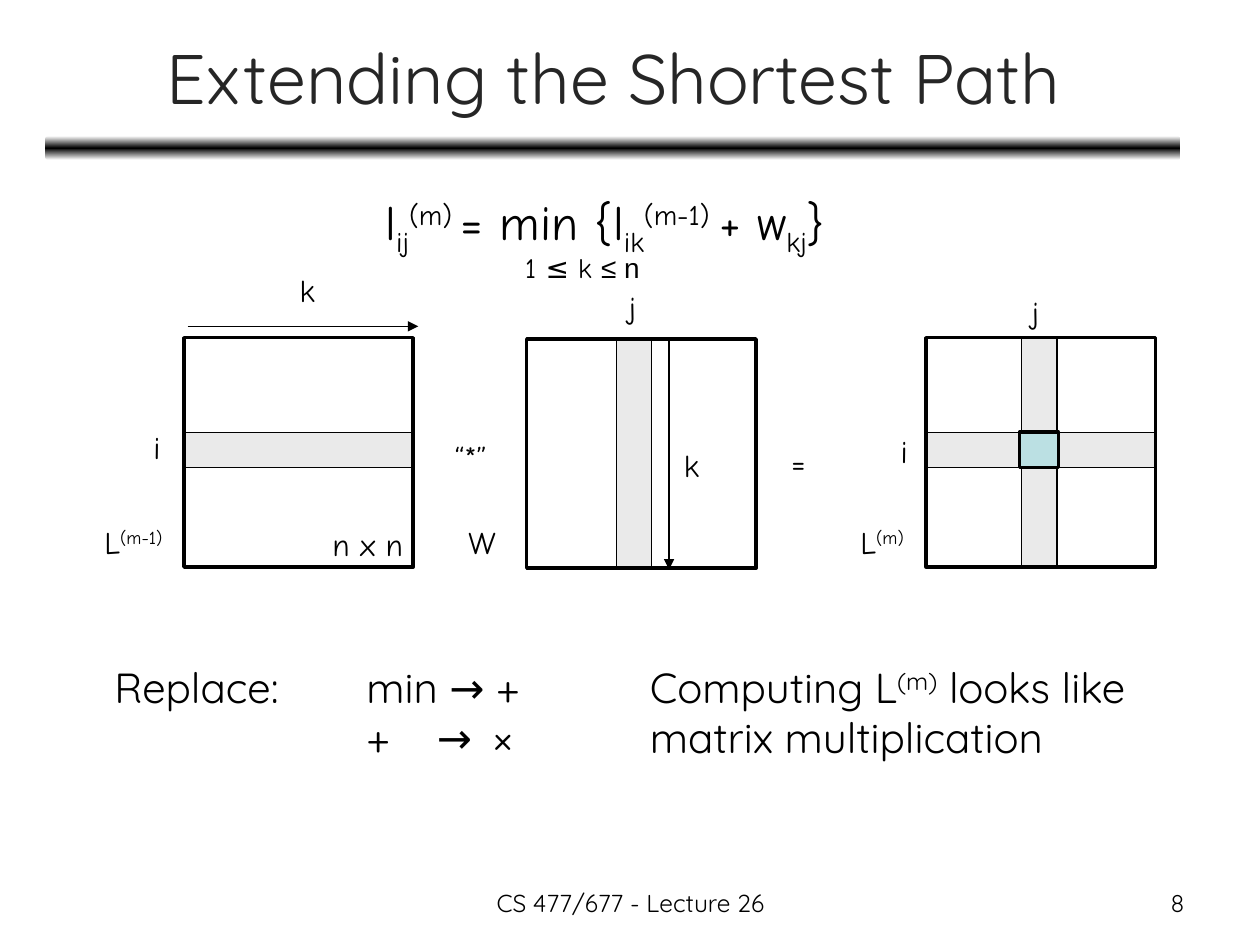
from copy import deepcopy
from dataclasses import dataclass
from lxml.etree import SubElement
from pptx import Presentation
from pptx.dml.color import RGBColor
from pptx.enum.shapes import MSO_CONNECTOR, MSO_SHAPE
from pptx.enum.text import MSO_ANCHOR, PP_ALIGN
from pptx.oxml.ns import qn
from pptx.util import Inches, Pt


@dataclass(frozen=True)
class Theme:
    sans: str = "Quicksand"
    hand: str = "Comic Neue"
    plain: str = "Arial"
    black: str = "000000"
    white: str = "FFFFFF"
    title: str = "262626"
    band: str = "EAEAEA"
    cell: str = "BBE0E3"
    head: int = 40
    math: int = 28
    body: int = 24
    label: int = 18
    range: int = 16
    foot: int = 14
    thick: float = 2
    thin: float = 0.75


THEME = Theme()
SUB, SUP = -25, 30
SIDE, BAR, MID = 1.82, 0.28, 3.43


def set_all(target, values):
    for name, value in values.items():
        setattr(target, name, value)


def add_run(para, text, font, size, color=THEME.black, base=0):
    run = para.add_run()
    run.text = text
    set_all(run.font, {"name": font, "size": Pt(size)})
    run.font.color.rgb = RGBColor.from_string(color)
    if base:
        run.font._element.set("baseline", str(base * 1000))


def add_text(slide, box, lines, font, size, color=THEME.black, wrap=True,
             align=PP_ALIGN.LEFT, anchor=MSO_ANCHOR.TOP):
    """Each line is a list of (text, format overrides) pairs."""
    frame = slide.shapes.add_textbox(*map(Inches, box)).text_frame
    set_all(frame, {"word_wrap": wrap, "vertical_anchor": anchor})
    for index, line in enumerate(lines):
        para = frame.paragraphs[0] if index == 0 else frame.add_paragraph()
        para.alignment = align
        for text, extra in line:
            add_run(para, text, **{"font": font, "size": size, "color": color, **extra})
    return frame


def add_label(slide, left, top, width, text, power=None):
    line = [(text, {})]
    if power:
        line.append((power, {"base": SUP}))
    add_text(slide, (left, top, width, 0.4), [line], THEME.hand, THEME.label, wrap=False)


def add_box(slide, box, fill=None, width=THEME.thin, kind=MSO_SHAPE.RECTANGLE):
    shape = slide.shapes.add_shape(kind, *map(Inches, box))
    shape.shadow.inherit = False
    if fill:
        shape.fill.solid()
        shape.fill.fore_color.rgb = RGBColor.from_string(fill)
    else:
        shape.fill.background()
    if width:
        shape.line.color.rgb = RGBColor.from_string(THEME.black)
        shape.line.width = Pt(width)
    else:
        shape.line.fill.background()
    return shape


def add_arrow(slide, start, end):
    arrow = slide.shapes.add_connector(MSO_CONNECTOR.STRAIGHT, *map(Inches, start + end))
    arrow.line.color.rgb = RGBColor.from_string(THEME.black)
    arrow.line.width = Pt(THEME.thin)
    SubElement(arrow.line._get_or_add_ln(), qn("a:tailEnd"), type="triangle")
    SubElement(arrow._element.spPr, qn("a:effectLst"))


def add_rule(slide):
    rule = add_box(slide, (0.36, 1.08, 9.01, 0.19), width=0, kind=MSO_SHAPE.ROUNDED_RECTANGLE)
    rule.fill.gradient()
    rule.fill.gradient_angle = 90
    stops = rule._element.spPr.find(qn("a:gradFill")).find(qn("a:gsLst"))
    stops.append(deepcopy(stops[0]))
    colors = (THEME.white, THEME.black, THEME.white)
    for stop, place, color in zip(rule.fill.gradient_stops, (0, 0.5, 1), colors):
        stop.position = place
        stop.color.rgb = RGBColor.from_string(color)


def add_grid(slide, left, top, column=None, row=False):
    """Square matrix with an optional shaded row and column."""
    if row:
        add_box(slide, (left, MID, SIDE, BAR), THEME.band)
    if column:
        add_box(slide, (column, top, BAR, SIDE), THEME.band)
    add_box(slide, (left, top, SIDE, SIDE), width=THEME.thick)


def add_tabs(para, stops):
    tabs = SubElement(para._p.get_or_add_pPr(), qn("a:tabLst"))
    for stop in stops:
        SubElement(tabs, qn("a:tab"), pos=str(Inches(stop)), algn="l")


def add_math(slide):
    sub, sup = {"base": SUB}, {"base": SUP}
    lines = [
        [("l", {}), ("ij", sub), ("(m)", sup),
         (" ", {"font": THEME.plain, "size": THEME.label}),
         ("= min {l", {}), ("ik", sub), ("(m-1) ", sup), ("+ w", {}), ("kj", sub), ("}", {})],
        [("1 ≤ k ", {"size": THEME.range}),
         ("≤ n", {"size": THEME.range, "font": THEME.plain})],
    ]
    frame = add_text(slide, (2.96, 1.52, 4.13, 0.74), lines, THEME.hand, THEME.math)
    for para, gap in zip(frame.paragraphs, (5.6, 3.2)):
        set_all(para, {"line_spacing": 0.8, "space_before": Pt(gap)})
    frame.paragraphs[1]._p.get_or_add_pPr().set("marL", str(Inches(1.11)))


def add_product(slide):
    # Matrices
    add_grid(slide, 1.46, 2.68, row=True)
    add_grid(slide, 4.18, 2.69, column=4.89)
    add_grid(slide, 7.35, 2.68, column=8.11, row=True)
    add_box(slide, (8.09, MID, 0.31, BAR), THEME.cell, THEME.thick)
    # Directions of k
    add_arrow(slide, (1.49, 2.59), (3.32, 2.59))
    add_arrow(slide, (5.31, 2.71), (5.31, 4.52))
    # Labels
    for label in (
        (2.54, 4.12, 0.76, "n x n"),
        (2.28, 2.1, 0.34, "k"), (5.33, 3.49, 0.34, "k"),
        (1.12, 3.35, 0.27, "i"), (7.05, 3.38, 0.27, "i"),
        (4.89, 2.24, 0.3, "j"), (8.09, 2.28, 0.3, "j"),
        (3.51, 3.43, 0.53, "“*”"), (6.18, 3.47, 0.33, "="),
        (0.73, 4.1, 0.73, "L", "(m-1)"), (3.62, 4.1, 0.46, "W"),
        (6.73, 4.1, 0.59, "L", "(m)"),
    ):
        add_label(slide, *label)


def add_notes(slide):
    swap = add_text(slide, (0.81, 5.2, 3.53, 0.91),
                    [[("Replace:\tmin → +", {})], [("\t+\t→\t×", {})]],
                    THEME.sans, THEME.body)
    for para in swap.paragraphs:
        add_tabs(para, (2, 2.56, 3.01))
    add_text(slide, (5.06, 5.2, 4.2, 0.91),
             [[("Computing L", {}), ("(m)", {"base": SUP}), (" looks like", {})],
              [("matrix multiplication", {})]], THEME.sans, THEME.body)


def main():
    deck = Presentation()
    set_all(deck, {"slide_width": Inches(10), "slide_height": Inches(7.5)})
    slide = deck.slides.add_slide(deck.slide_layouts[6])
    # Heading
    add_rule(slide)
    add_text(slide, (0.37, 0.11, 9, 0.99), [[("Extending the Shortest Path", {})]],
             THEME.sans, THEME.head, THEME.title,
             align=PP_ALIGN.CENTER, anchor=MSO_ANCHOR.MIDDLE)
    # Content
    add_math(slide)
    add_product(slide)
    add_notes(slide)
    # Footer
    for left, width, text, align in (
        (3.42, 3.17, "CS 477/677 - Lecture 26", PP_ALIGN.CENTER),
        (7.17, 2.33, "8", PP_ALIGN.RIGHT),
    ):
        add_text(slide, (left, 7, width, 0.35), [[(text, {})]],
                 THEME.sans, THEME.foot, align=align)
    deck.save("out.pptx")


main()
